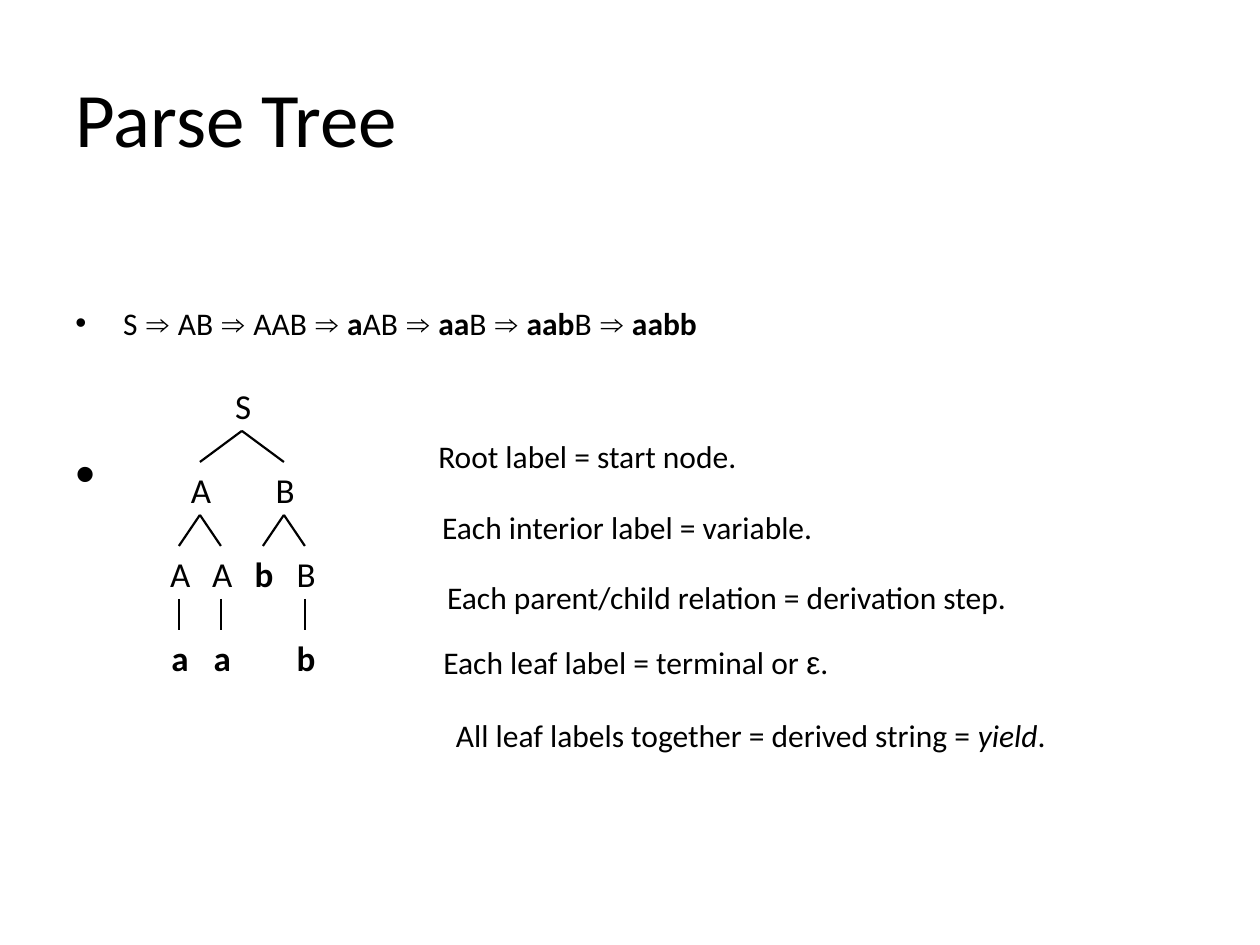
from lxml.etree import SubElement
from pptx import Presentation
from pptx.dml.color import RGBColor
from pptx.enum.shapes import MSO_CONNECTOR
from pptx.enum.text import MSO_ANCHOR, PP_ALIGN
from pptx.oxml.ns import qn
from pptx.util import Inches, Pt

BLACK = RGBColor(0, 0, 0)
BODY = "Calibri"
SYMBOL = "Arial"

# Each derivation step: terminals (bold), then variables
STEPS = [("", "S"), ("", "AB"), ("", "AAB"), ("a", "AB"),
         ("aa", "B"), ("aab", "B"), ("aabb", "")]

# Each node: label, column, children
TREE = ("S", 3, [
    ("A", 1, [("A", 0, [("a", 0, [])]), ("A", 2, [("a", 2, [])])]),
    ("B", 5, [("b", 4, []), ("B", 6, [("b", 6, [])])]),
])
LEFT, TOP = 1.42, 3.0
COL, ROW = 1 / 6, 2 / 3
NODE_W, NODE_H = 0.36, 0.44

# Each note: left, top, width, line spacing, runs with their style
NOTES = [
    (3.38, 3.42, 2.58, 1, [("Root label = start node.", {})]),
    (3.41, 3.98, 3.15, 1, [("Each interior label = variable.", {})]),
    (3.45, 4.54, 4.67, 1,
     [("Each parent/child relation = derivation step.", {})]),
    (3.42, 5.09, 3.26, 0.9,
     [("Each leaf label = terminal or ", {}), ("ε", {"face": SYMBOL}),
      (".", {})]),
    (3.52, 5.63, 4.89, 1,
     [("All leaf labels together = derived string = ", {}),
      ("yield", {"italic": True}), (".", {})]),
]


def add_run(para, text, size=18, face=BODY, bold=False, italic=False):
    run = para.add_run()
    run.text = text
    font = run.font
    font.size, font.name = Pt(size), face
    font.bold, font.italic = bold, italic
    font.color.rgb = BLACK


def add_box(shapes, left, top, width, height, wrap=False):
    box = shapes.add_textbox(Inches(left), Inches(top),
                             Inches(width), Inches(height))
    box.text_frame.word_wrap = wrap
    return box.text_frame


def add_bullet(para):
    props = para._p.get_or_add_pPr()
    props.set("marL", str(Inches(0.38)))
    props.set("indent", str(-Inches(0.38)))
    SubElement(props, qn("a:buFont"), typeface=SYMBOL)
    SubElement(props, qn("a:buChar"), char="•")


def add_line(shapes, start, end):
    line = shapes.add_connector(MSO_CONNECTOR.STRAIGHT,
                                *map(Inches, start + end))
    line.line.color.rgb = BLACK
    line.line.width = Pt(1.25)
    SubElement(line._element.spPr, qn("a:effectLst"))


def add_title(slide):
    title = slide.shapes.title
    title.left, title.top = Inches(0.5), Inches(0.3)
    title.width, title.height = Inches(9), Inches(1.25)
    frame = title.text_frame
    frame.vertical_anchor = MSO_ANCHOR.MIDDLE
    para = frame.paragraphs[0]
    para.alignment = PP_ALIGN.LEFT
    add_run(para, "Parse Tree", 44)


def add_steps(slide):
    frame = add_box(slide.shapes, 0.5, 1.75, 9, 4.95, wrap=True)
    frame.margin_top = Inches(0.66)
    para = frame.paragraphs[0]
    add_bullet(para)
    for num, (ends, rest) in enumerate(STEPS):
        if num:
            add_run(para, " ⇒ ", face=SYMBOL)
        if ends:
            add_run(para, ends, bold=True)
        if rest:
            add_run(para, rest)
    # Large bullet that stands alone beside the tree
    mark = frame.add_paragraph()
    mark.space_before = Pt(55)
    add_run(mark, "•", 32, SYMBOL)


def add_node(shapes, node, depth=0):
    label, col, kids = node
    mid, top = LEFT + col * COL, TOP + depth * ROW
    frame = add_box(shapes, mid + 0.01 - NODE_W / 2, top, NODE_W, NODE_H)
    para = frame.paragraphs[0]
    para.alignment = PP_ALIGN.CENTER
    add_run(para, label, 20, bold=label.islower())
    for kid in kids:
        add_line(shapes, (mid, top + 0.42), (LEFT + kid[1] * COL, top + ROW))
        add_node(shapes, kid, depth + 1)


def add_note(shapes, left, top, width, space, runs):
    para = add_box(shapes, left, top, width, 0.4 * space).paragraphs[0]
    para.line_spacing = space
    for text, style in runs:
        add_run(para, text, **style)


def main():
    deck = Presentation()
    deck.slide_width, deck.slide_height = Inches(10), Inches(7.5)
    slide = deck.slides.add_slide(deck.slide_layouts[5])
    add_title(slide)
    add_steps(slide)
    # Parse tree
    add_node(slide.shapes.add_group_shape().shapes, TREE)
    # Notes on the tree
    notes = slide.shapes.add_group_shape().shapes
    for note in NOTES:
        add_note(notes, *note)
    deck.save("out.pptx")


if __name__ == "__main__":
    main()
